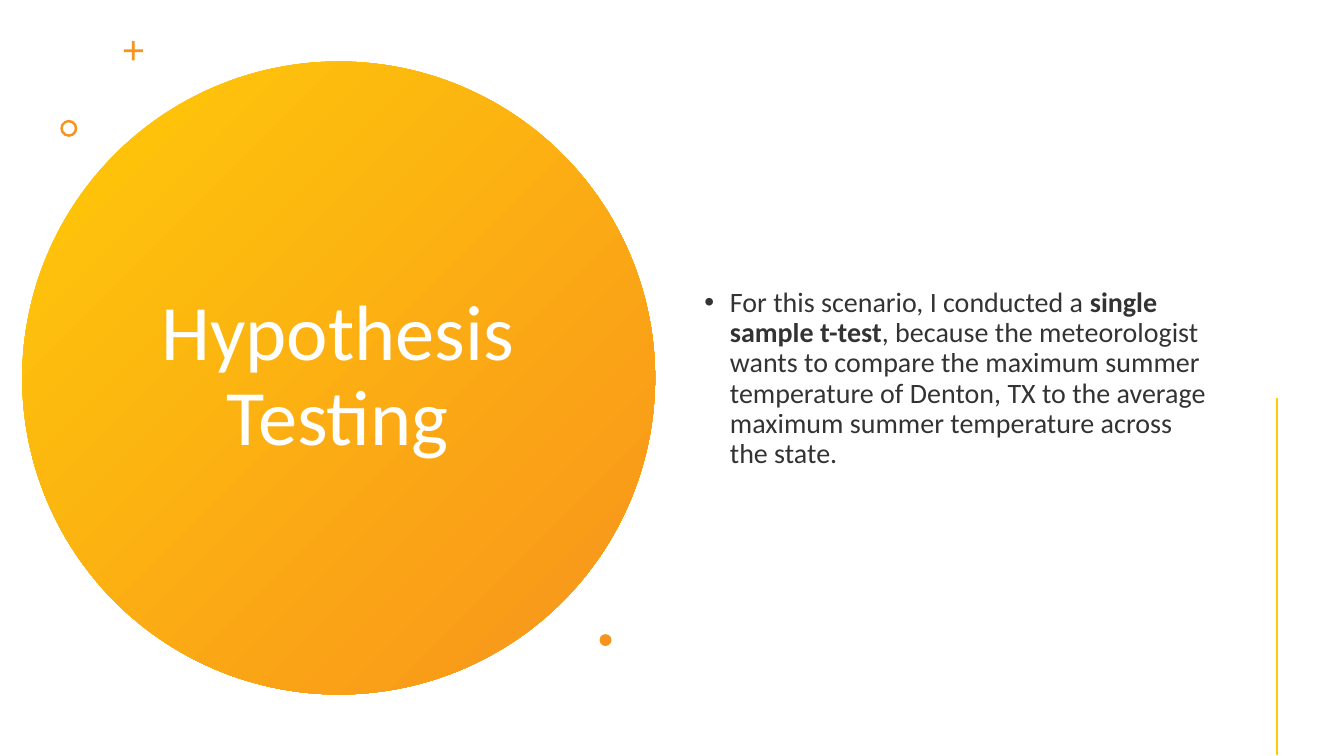
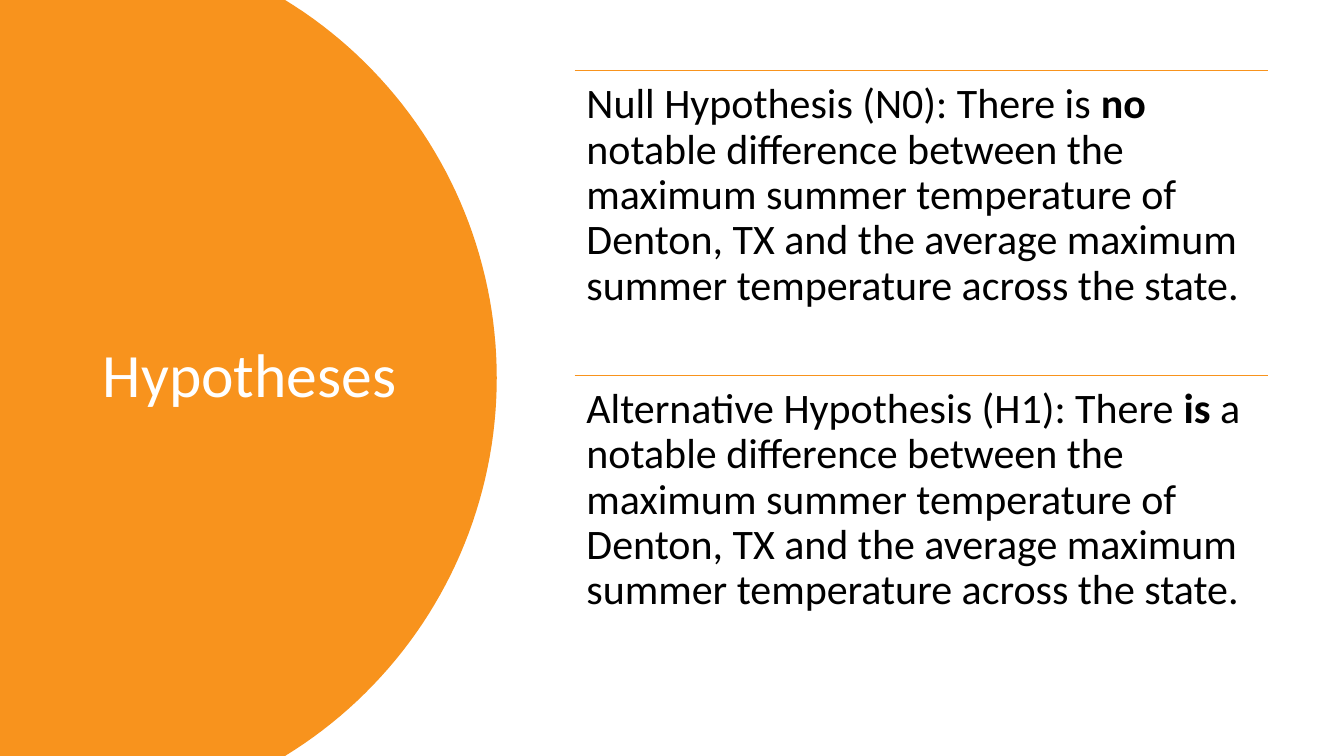
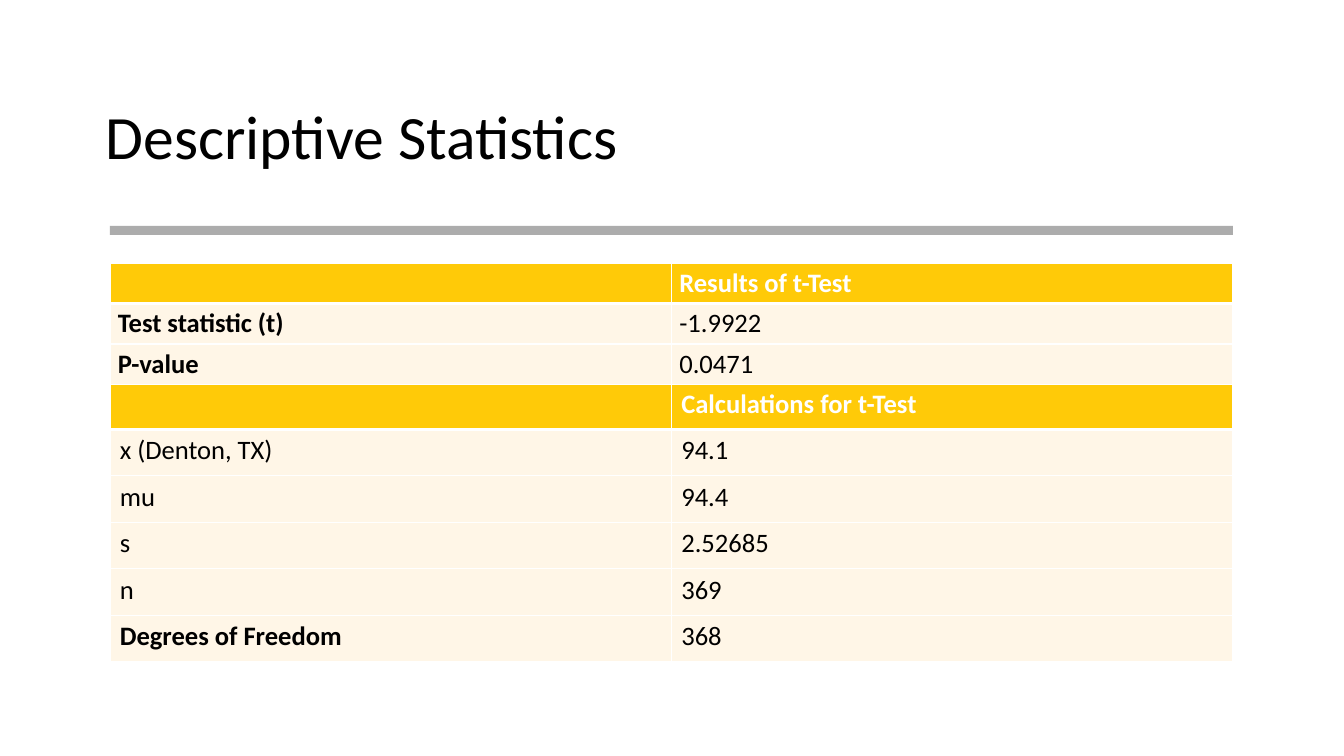
"""Build three slides on a t-test of summer temperatures."""
from math import asin, cos, sin

from lxml.etree import SubElement
from pptx import Presentation
from pptx.dml.color import RGBColor
from pptx.enum.shapes import MSO_CONNECTOR, MSO_SHAPE
from pptx.enum.text import MSO_ANCHOR, MSO_AUTO_SIZE, PP_ALIGN
from pptx.oxml.ns import qn
from pptx.util import Cm, Pt

OVAL, RING, PLUS, RECT = MSO_SHAPE.OVAL, MSO_SHAPE.DONUT, MSO_SHAPE.CROSS, MSO_SHAPE.RECTANGLE
LINE = MSO_CONNECTOR.STRAIGHT
LEFT, MID = PP_ALIGN.LEFT, PP_ALIGN.CENTER
TOP, CENTER = MSO_ANCHOR.TOP, MSO_ANCHOR.MIDDLE
FIXED = MSO_AUTO_SIZE.NONE

FONT = "Calibri"
GOLD, ORANGE, CREAM = "FFCA08", "F8931D", "FFF6E7"
WHITE, BLACK, GRAY = "FFFFFF", "000000", "808080"
WIDE, HIGH = 33.87, 19.05


def paint(fill, *tones, alpha=None):
    """Fill with one tone, or with a diagonal blend of two."""
    if len(tones) == 1:
        fill.solid()
        fill.fore_color.rgb = RGBColor.from_string(tones[0])
    else:
        fill.gradient()
        fill.gradient_angle = 315
        for stop, tone, place in zip(fill.gradient_stops, tones, (0, 1)):
            stop.color.rgb = RGBColor.from_string(tone)
            stop.position = place
    if alpha:
        clr = fill._xPr.find(".//" + qn("a:srgbClr"))
        SubElement(clr, qn("a:alpha"), val=str(alpha * 1000))


def write(frame, text, size=19, tone=BLACK, align=LEFT, anchor=TOP, space=None, alpha=None):
    """Write text whose starred parts are bold."""
    frame.word_wrap = True
    frame.vertical_anchor = anchor
    para = frame.paragraphs[0]
    para.alignment = align
    para.line_spacing = space
    for i, part in enumerate(text.split("*")):
        if part:
            run = para.add_run()
            run.text = part
            run.font.name = FONT
            run.font.size = Pt(size)
            run.font.bold = i % 2 == 1
            paint(run.font.fill, tone, alpha=alpha)


deck = Presentation()
deck.slide_width, deck.slide_height = Cm(WIDE), Cm(HIGH)
test, claims, stats = [deck.slides.add_slide(deck.slide_layouts[n]) for n in (1, 5, 5)]

body = test.placeholders[1]
for holder, box, text, style in [
    (test.shapes.title, (3.45, 3.58, 10.13, 11.86), "Hypothesis Testing",
     dict(size=56, tone=WHITE, align=MID)),
    (body, (17.5, 1.45, 13.26, 16.2),
     "For this scenario, I conducted a *single sample t-test*, because the meteorologist wants "
     "to compare the maximum summer temperature of Denton, TX to the average maximum summer "
     "temperature across the state.", dict(size=20, alpha=80)),
    (claims.shapes.title, (2.34, 1.78, 8.2, 15.47), "Hypotheses", dict(size=44, tone=WHITE)),
    (stats.shapes.title, (2.41, 1.68, 29.03, 3.68), "Descriptive Statistics", dict(size=44)),
]:
    holder.left, holder.top, holder.width, holder.height = map(Cm, box)
    holder.text_frame.auto_size = FIXED
    write(holder.text_frame, text, anchor=CENTER, space=0.9, **style)

item = body.text_frame.paragraphs[0]
item.space_before = Pt(10)
props = item._p.get_or_add_pPr()
props.set("marL", str(Cm(0.64)))
props.set("indent", str(-Cm(0.64)))

looks = []
for kind, x, y, size, adjust, tones in [
    (OVAL, 0.56, 1.55, 15.95, None, (GOLD, ORANGE)),
    (PLUS, 3.12, 1.04, 0.48, 0.43, (ORANGE,)),
    (RING, 1.52, 3.02, 0.43, 0.15, (ORANGE,)),
    (OVAL, 15.11, 15.98, 0.3, None, (ORANGE,)),
]:
    mark = test.shapes.add_shape(kind, Cm(x), Cm(y), Cm(size), Cm(size))
    if adjust:
        mark.adjustments[0] = adjust
    looks.append((mark, tones, None))
test.shapes.title.element.addprevious(looks[0][0].element)

mid, radius, steps = 1.35, 11.17, 80
half = asin(HIGH / 2 / radius)
turns = [half * (2 * i / steps - 1) for i in range(steps + 1)]
curve = [(Cm(mid + radius * cos(t)), Cm(HIGH / 2 + radius * sin(t))) for t in turns]
path = claims.shapes.build_freeform(0, 0)
path.add_line_segments(curve + [(0, Cm(HIGH))], close=True)
disc = path.convert_to_shape()
claims.shapes.title.element.addprevious(disc.element)
looks.append((disc, (ORANGE,), None))

bar = stats.shapes.add_shape(RECT, Cm(2.77), Cm(5.69), Cm(28.3), Cm(0.23))
looks.append((bar, (GRAY,), 65))

for shape, tones, alpha in looks:
    paint(shape.fill, *tones, alpha=alpha)
    shape.line.fill.background()
    shape.shadow.inherit = False

rules = [(test, 32.18, 10.03, 32.18, 19.02, GOLD, 2)]
tail = (" notable difference between the maximum summer temperature of Denton, TX "
        "and the average maximum summer temperature across the state.")
for i, lead in enumerate(["Null Hypothesis (N0): There is *no*",
                          "Alternative Hypothesis (H1): There *is* a"]):
    y = 1.78 + 7.68 * i
    rules.append((claims, 14.48, y, 31.95, y, ORANGE, 1))
    note = claims.shapes.add_textbox(Cm(14.48), Cm(y), Cm(17.47), Cm(7.68)).text_frame
    note.margin_left = note.margin_right = note.margin_top = note.margin_bottom = Cm(0.3)
    write(note, lead + tail, size=30, space=0.9)

for slide, x1, y1, x2, y2, tone, width in rules:
    rule = slide.shapes.add_connector(LINE, Cm(x1), Cm(y1), Cm(x2), Cm(y2))
    paint(rule.line.fill, tone)
    rule.line.width = Pt(width)
    SubElement(rule.element.spPr, qn("a:effectLst"))

calcs = [("", "*Calculations for t-Test*"), ("x (Denton, TX)", "94.1"), ("mu", "94.4"),
         ("s", "2.52685"), ("n", "369"), ("*Degrees of Freedom*", "368")]
results = [("", "*Results of t-Test*"), ("*Test statistic (t)*", "-1.9922"),
           ("*P-value*", "0.0471")]
for rows, top, tall, side, edge in [(calcs, 9.65, 1.17, 0.25, 0.13),
                                    (results, 6.63, 1.02, 0.2, 0.1)]:
    grid = stats.shapes.add_table(len(rows), 2, Cm(2.77), Cm(top), Cm(28.3),
                                  Cm(tall * len(rows))).table
    grid.horz_banding = False
    for r, row in enumerate(rows):
        grid.rows[r].height = Cm(tall)
        for c, text in enumerate(row):
            cell = grid.cell(r, c)
            cell.margin_left = cell.margin_right = Cm(side)
            cell.margin_top = cell.margin_bottom = Cm(edge)
            for name in ("lnL", "lnR", "lnT", "lnB"):
                thick = (r, name) in [(0, "lnB"), (1, "lnT")]
                line = SubElement(cell._tc.get_or_add_tcPr(), qn("a:" + name),
                                  w=str(Pt(3 if thick else 1)))
                SubElement(SubElement(line, qn("a:solidFill")), qn("a:srgbClr"), val=WHITE)
            paint(cell.fill, CREAM if r else GOLD)
            write(cell.text_frame, text, tone=BLACK if r else WHITE)

deck.save("out.pptx")
